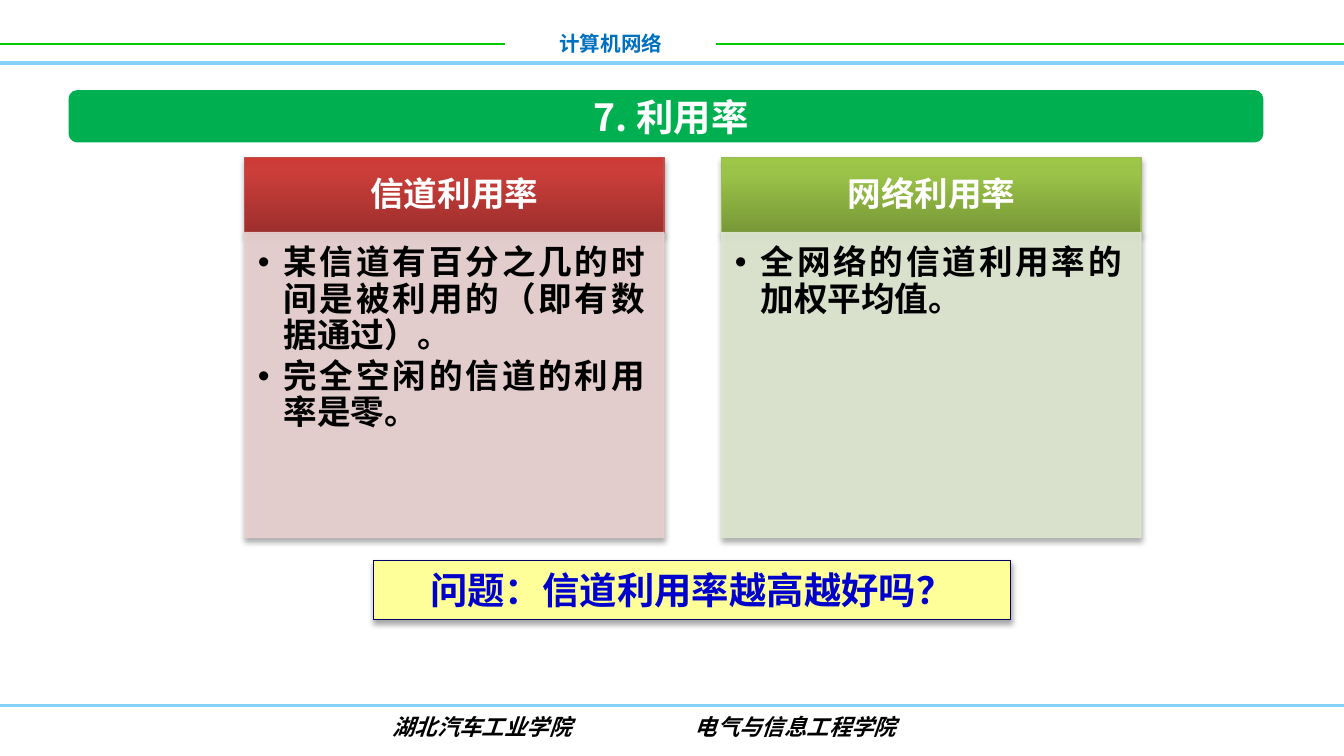
from lxml import etree
from pptx import Presentation
from pptx.dml.color import RGBColor
from pptx.enum.shapes import MSO_CONNECTOR, MSO_SHAPE
from pptx.enum.text import MSO_ANCHOR, MSO_AUTO_SIZE, PP_ALIGN
from pptx.oxml.ns import qn
from pptx.util import Inches, Pt

RECT, ROUND = MSO_SHAPE.RECTANGLE, MSO_SHAPE.ROUNDED_RECTANGLE
TOP, MIDDLE = MSO_ANCHOR.TOP, MSO_ANCHOR.MIDDLE
LEFT, CENTER, JUSTIFY = PP_ALIGN.LEFT, PP_ALIGN.CENTER, PP_ALIGN.JUSTIFY

WHITE = RGBColor(0xFF, 0xFF, 0xFF)
BLACK = RGBColor(0, 0, 0)
BLUE = RGBColor(0x00, 0x70, 0xC0)
SKY = RGBColor(0x85, 0xD1, 0xF7)
LIME = RGBColor(0x00, 0xCC, 0x00)
GREEN = RGBColor(0x00, 0xB0, 0x50)
YELLOW = RGBColor(0xFF, 0xFF, 0x99)
NAVY = RGBColor(0x00, 0x00, 0x66)
INK = RGBColor(0x00, 0x00, 0xCC)
CJK = "Noto Sans CJK SC"

WIDTH = 10
HEIGHT = WIDTH * 9 / 16
COURSE = "计算机网络"
TITLE = "7. 利用率"
QUESTION = "问题：信道利用率越高越好吗？"
SCHOOLS = ["湖北汽车工业学院", "电气与信息工程学院"]
CARDS = [
    {"head": "信道利用率",
     "points": ["某信道有百分之几的时间是被利用的（即有数据通过）。",
                "完全空闲的信道的利用率是零。"],
     "stops": [(0, "9C2F2D"), (80, "CB3E3A"), (100, "CE3B37")],
     "edge": RGBColor(0xC0, 0x50, 0x4D), "tint": RGBColor(0xE8, 0xD0, 0xD0)},
    {"head": "网络利用率",
     "points": ["全网络的信道利用率的加权平均值。"],
     "stops": [(0, "779737"), (80, "9BC348"), (100, "9DC746")],
     "edge": RGBColor(0x9B, 0xBB, 0x59), "tint": RGBColor(0xDE, 0xE7, 0xD1)},
]
RULES = [  # start, end, height on slide, colour, weight
    (0, 3.76, 0.33, LIME, 1),
    (5.33, WIDTH, 0.33, LIME, 1),
    (0, WIDTH, 5.25, SKY, 1.5),
    (0, WIDTH, 0.47, SKY, 2),
]
CARD_X, CARD_W, CARD_STEP = 1.82, 3.12, 3.55
HEAD_Y, HEAD_H = 1.17, 0.57
BODY_Y, BODY_H = 1.73, 2.27


def add(parent, tag, **attrs):
    return etree.SubElement(parent, qn(tag), attrs)


def rule(start, end, y, color, weight):
    line = slide.shapes.add_connector(
        MSO_CONNECTOR.STRAIGHT, *map(Inches, (start, y, end, y)))
    line.line.color.rgb = color
    line.line.width = Pt(weight)
    add(line._element.spPr, "a:effectLst")


def box(kind, area, fill, edge=None):
    shape = slide.shapes.add_shape(kind, *map(Inches, area))
    shape.shadow.inherit = False
    shape.fill.solid()
    shape.fill.fore_color.rgb = fill
    if edge is None:
        shape.line.fill.background()
    else:
        shape.line.color.rgb = edge
        shape.line.width = Pt(0.75)
    return shape


def label(area):
    return slide.shapes.add_textbox(*map(Inches, area))


def cast(shape):
    """Give the shape a soft shadow that falls straight down."""
    drop = add(shape._element.spPr.find(qn("a:effectLst")), "a:outerShdw",
               blurRad=str(Pt(3.1)), dist=str(Pt(1.8)), dir="5400000",
               rotWithShape="0")
    add(add(drop, "a:srgbClr", val="000000"), "a:alpha", val="35000")


def blend(shape, stops):
    """Fill the shape with a gradient that runs from bottom to top."""
    shape.fill.gradient()
    shape.fill.gradient_angle = 90
    ramp = shape._element.spPr.find(qn("a:gradFill")).find(qn("a:gsLst"))
    for old in list(ramp):
        ramp.remove(old)
    for pos, color in stops:
        add(add(ramp, "a:gs", pos=str(pos * 1000)), "a:srgbClr", val=color)


def write(shape, lines, color, size, align=CENTER, anchor=TOP,
          pad=(0.1, 0.05, 0.1, 0.05), bullet=False, tab=None,
          face=CJK, para={}, **style):
    frame = shape.text_frame
    sides = ("margin_left", "margin_top", "margin_right", "margin_bottom")
    look = dict(zip(sides, map(Inches, pad)), word_wrap=True,
                auto_size=MSO_AUTO_SIZE.NONE, vertical_anchor=anchor)
    for key, value in look.items():
        setattr(frame, key, value)
    for i, line in enumerate(lines):
        p = frame.add_paragraph() if i else frame.paragraphs[0]
        p.alignment = align
        for key, value in para.items():
            setattr(p, key, value)
        props = p._p.get_or_add_pPr()
        if bullet:
            props.set("marL", str(Inches(0.19)))
            props.set("indent", str(-Inches(0.19)))
            add(props, "a:buFont", typeface="Arial")
            add(props, "a:buChar", char="•")
        if tab:
            add(add(props, "a:tabLst"), "a:tab", pos=str(Inches(tab)), algn="l")
        run = p.add_run()
        run.text = line
        font = dict(name=face, size=Pt(size), bold=True, **style)
        for key, value in font.items():
            setattr(run.font, key, value)
        run.font.color.rgb = color
        add(run._r.get_or_add_rPr(), "a:ea", typeface=CJK)


deck = Presentation()
deck.slide_width, deck.slide_height = Inches(WIDTH), Inches(HEIGHT)
slide = deck.slides.add_slide(deck.slide_layouts[5])

for item in RULES:
    rule(*item)
write(label((3.76, 0.18, 1.57, 0.29)), [COURSE], BLUE, 11)
write(label((1.02, 5.26, 7.56, 0.3)), ["\t".join(SCHOOLS)], BLACK, 12,
      align=LEFT, pad=(1.9, 0.05, 0.1, 0.05), tab=2.25,
      face="Arial", italic=True)

banner = box(ROUND, (0.51, 0.67, 8.89, 0.39), GREEN)
banner.adjustments[0] = 0.167

for i, card in enumerate(CARDS):
    x = CARD_X + i * CARD_STEP
    head = box(RECT, (x, HEAD_Y, CARD_W, HEAD_H), WHITE, card["edge"])
    blend(head, card["stops"])
    cast(head)
    write(head, [card["head"]], WHITE, 18, anchor=MIDDLE,
          pad=(0.14, 0.08, 0.14, 0.08), para={"line_spacing": 0.9})

    body = box(RECT, (x, BODY_Y, CARD_W, BODY_H), card["tint"], card["tint"])
    for tone in list(body._element.spPr.iter(qn("a:srgbClr"))):
        add(tone, "a:alpha", val="90000")
    cast(body)
    write(body, card["points"], BLACK, 18, align=JUSTIFY, bullet=True,
          pad=(0.1, 0.1, 0.14, 0.16),
          para={"line_spacing": 0.9, "space_after": Pt(2.5)})

ask = box(RECT, (2.78, 4.17, 4.74, 0.44), YELLOW, NAVY)
cast(ask)
write(ask, [QUESTION], INK, 20)

title = slide.shapes.title
title.left, title.top, title.width, title.height = map(
    Inches, (1.37, 0.67, 7.25, 0.39))
write(title, [TITLE], WHITE, 20, anchor=MIDDLE)
slide.shapes._spTree.append(title._element)  # in front of the banner

deck.save("out.pptx")
